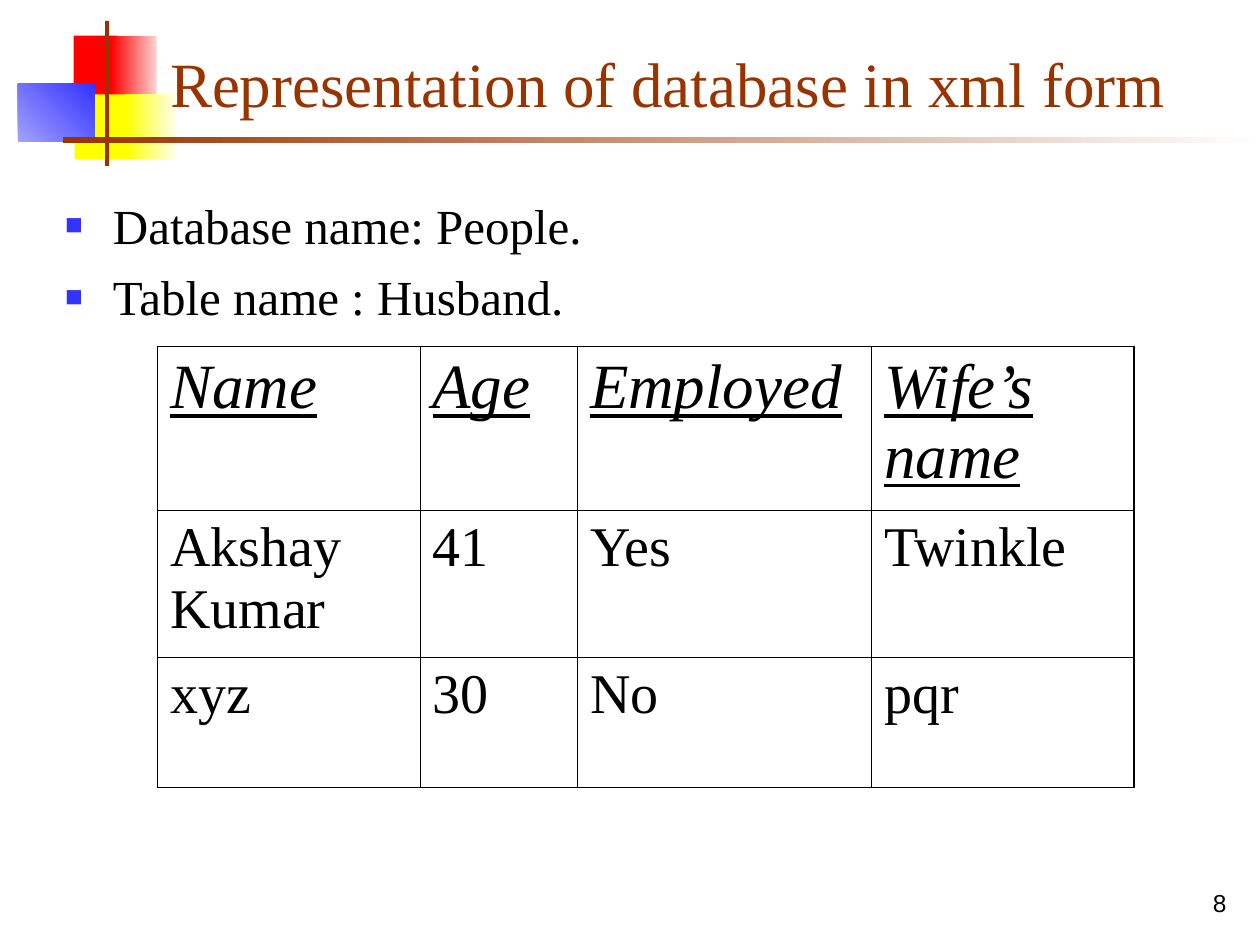
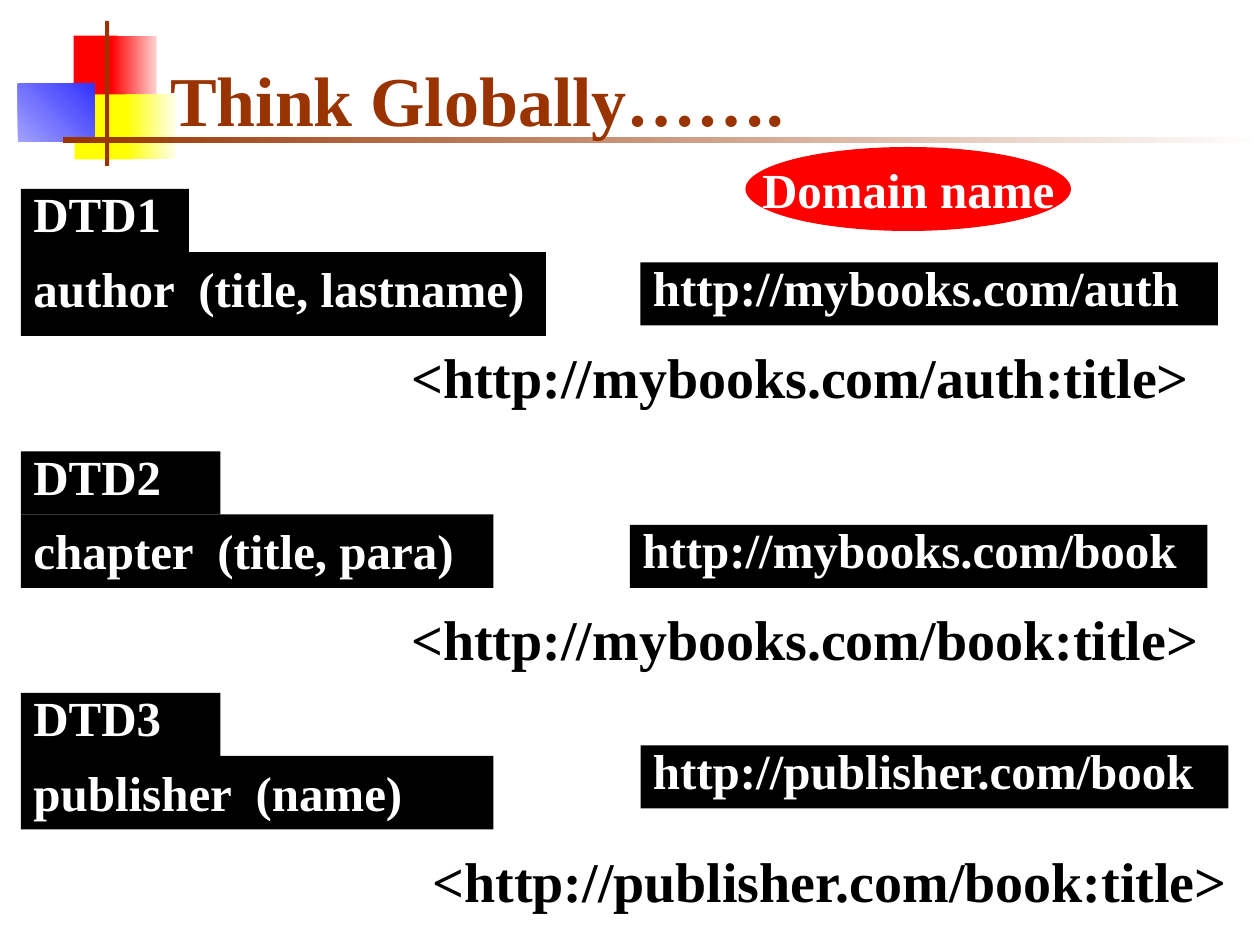
from collections import namedtuple

from lxml.etree import SubElement
from pptx import Presentation
from pptx.dml.color import RGBColor
from pptx.enum.shapes import MSO_SHAPE as Preset
from pptx.enum.text import MSO_ANCHOR as Anchor, MSO_AUTO_SIZE as AutoSize, PP_ALIGN as Align
from pptx.oxml.ns import qn
from pptx.util import Inches, Pt

COLUMNS, ROWS = 120, 90
CELL = Inches(10) // COLUMNS
SERIF, SANS = "Times New Roman", "Arial"
BLACK, WHITE, RED, YELLOW = "000000", "FFFFFF", "FF0000", "FFFF00"
BROWN, BLUE = "993300", "3333FF"
HANGING = Inches(0.38)
OUTER, INNER = Pt(1.08), Pt(0.45)

Dtd = namedtuple("Dtd", "top label label_width model model_size url url_area name name_area")

DTDS = [
    Dtd(18, "DTD1", 16, "author  (title, lastname)", (50, 8),
        "http://mybooks.com/auth", (59, 7, 55, 6),
        "<http://mybooks.com/auth:title>", (36, 14, 78, 10)),
    Dtd(43, "DTD2", 19, "chapter  (title, para)", (45, 7),
        "http://mybooks.com/book", (58, 7, 55, 6),
        "<http://mybooks.com/book:title>", (36, 14, 78, 10)),
    Dtd(66, "DTD3", 19, "publisher  (name)", (45, 7),
        "http://publisher.com/book", (59, 5, 56, 6),
        "<http://publisher.com/book:title>", (38, 14, 80, 8)),
]

HUSBANDS = [
    ["Name", "Age", "Employed", "Wife’s name"],
    ["Akshay Kumar", "41", "Yes", "Twinkle"],
    ["xyz", "30", "No", "pqr"],
]


class Box(namedtuple("Box", "left top width height")):
    def inner(self, left, top, width, height):
        return Box(self.left + left, self.top + top, width, height)

    def lengths(self):
        return [round(cells * CELL) for cells in self]


PAGE = Box(0, 0, COLUMNS, ROWS)


def rgb(color):
    return RGBColor.from_string(color)


def write(frame, *lines, size=28, color=BLACK, font=SERIF, bold=False, italic=False,
          underline=False, align=Align.LEFT, anchor=Anchor.TOP, wrap=True,
          before=0, spacing=1.0, hanging=False, bullet=None):
    frame.word_wrap = wrap
    frame.auto_size = AutoSize.NONE
    frame.vertical_anchor = anchor
    for index, line in enumerate(lines):
        paragraph = frame.add_paragraph() if index else frame.paragraphs[0]
        paragraph.alignment = align
        paragraph.space_before = Pt(before)
        paragraph.line_spacing = spacing
        run = paragraph.add_run()
        run.text = line
        run.font.name, run.font.size = font, Pt(size)
        run.font.bold, run.font.italic, run.font.underline = bold, italic, underline
        run.font.color.rgb = rgb(color)
        if hanging:
            properties = paragraph._p.get_or_add_pPr()
            properties.set("marL", str(HANGING))
            properties.set("indent", str(-HANGING))
            if bullet:
                add_bullet(properties, bullet)


def add_bullet(properties, color):
    tint = SubElement(properties, qn("a:buClr"))
    SubElement(tint, qn("a:srgbClr"), val=color)
    SubElement(properties, qn("a:buSzPct"), val="60000")
    SubElement(properties, qn("a:buFont"), typeface=SANS)
    SubElement(properties, qn("a:buChar"), char="■")


def add_block(slide, box, *colors, angle=0, preset=Preset.RECTANGLE):
    block = slide.shapes.add_shape(preset, *box.lengths())
    block.shadow.inherit = False
    block.line.fill.background()
    if len(colors) == 1:
        block.fill.solid()
        block.fill.fore_color.rgb = rgb(colors[0])
    else:
        block.fill.gradient()
        block.fill.gradient_angle = angle
        for stop, color in zip(block.fill.gradient_stops, colors):
            stop.color.rgb = rgb(color)
    return block


def add_caption(slide, box, text, **style):
    caption = slide.shapes.add_textbox(*box.lengths())
    write(caption.text_frame, text, **style)


def move(placeholder, box):
    placeholder.left, placeholder.top, placeholder.width, placeholder.height = box.lengths()


def add_title(slide, box, text, **style):
    move(slide.shapes.title, box)
    write(slide.shapes.title.text_frame, text, color=BROWN, anchor=Anchor.BOTTOM, **style)


def add_motif(master, slide, box):
    pieces = [
        ((7, 3.4, 4.2, 6.2), [RED], 0),
        ((10.6, 3.4, 4.3, 6.2), [RED, "FFD1D1"], 0),
        ((7.1, 9, 5.5, 6.2), [YELLOW], 0),
        ((12, 9, 4.8, 6.2), [YELLOW, "FFFFF0"], 0),
        ((1.7, 8, 7.3, 5.5), ["A2A2FF", BLUE], 45),
        ((10, 2, 0.4, 13.8), [BROWN], 0),
        ((6, 13, 114, 0.6), [BROWN, WHITE], 0),
    ]
    front = master.placeholders[0].element
    for number, (area, colors, angle) in enumerate(pieces, start=20):
        piece = add_block(slide, box.inner(*area), *colors, angle=angle)
        piece.element.nvSpPr.cNvPr.set("id", str(number))
        front.addprevious(piece.element)


def set_borders(cell, widths):
    properties = cell._tc.get_or_add_tcPr()
    for side, width in zip("LRTB", widths):
        line = SubElement(properties, qn(f"a:ln{side}"), w=str(width))
        fill = SubElement(line, qn("a:solidFill"))
        SubElement(fill, qn("a:srgbClr"), val=BLACK)


def add_husbands(slide, box):
    column_shares, row_shares = (25, 15, 28, 25), (15.6, 14, 12.4)
    last_row, last_column = len(row_shares) - 1, len(column_shares) - 1
    table = slide.shapes.add_table(len(row_shares), len(column_shares), *box.lengths()).table
    table.first_row = table.horz_banding = False
    for column, share in zip(table.columns, column_shares):
        column.width = round(box.width * share / sum(column_shares) * CELL)
    for row, share in zip(table.rows, row_shares):
        row.height = round(box.height * share / sum(row_shares) * CELL)
    for r, record in enumerate(HUSBANDS):
        style = dict(size=32, before=8) if r else dict(size=36, before=9, italic=True, underline=True)
        for c, value in enumerate(record):
            cell = table.cell(r, c)
            edges = (c == 0, c == last_column, r == 0, r == last_row)
            set_borders(cell, [OUTER if edge else INNER for edge in edges])
            cell.fill.background()
            write(cell.text_frame, value, **style)


def add_dtd(slide, box, dtd):
    def strip(area, text, spacing):
        block = add_block(slide, box.inner(*area), BLACK)
        write(block.text_frame, text, color=WHITE, bold=True, before=7,
              spacing=spacing, hanging=True)

    strip((0, 6, *dtd.model_size), dtd.model, 1.0)
    strip((0, 0, dtd.label_width, 6), dtd.label, 0.8)
    strip(dtd.url_area, dtd.url, 0.8)
    add_caption(slide, box.inner(*dtd.name_area), dtd.name, size=32, bold=True,
                before=8, hanging=True)


def fill_database_slide(slide, box):
    add_title(slide, box.inner(15, 1, 102.2, 11), "Representation of database in xml form", size=36)
    body = slide.placeholders[1]
    move(body, box.inner(5, 18, 112.5, 69))
    write(body.text_frame, "Database name: People.", "Table name : Husband.",
          before=7, hanging=True, bullet=BLUE)
    add_husbands(slide, box.inner(15, 33, 93, 42))
    add_caption(slide, box.inner(93, 82, 25, 6), "8", size=14, font=SANS,
                align=Align.RIGHT, anchor=Anchor.BOTTOM)


def fill_namespace_slide(slide, box):
    add_title(slide, box.inner(15, 3, 102.2, 11), "Think Globally…….", size=40, bold=True)
    for dtd in DTDS:
        add_dtd(slide, box.inner(2, dtd.top, 118, 24), dtd)
    domain = add_block(slide, box.inner(71, 14, 31, 8), RED, preset=Preset.OVAL)
    write(domain.text_frame, "Domain name", color=WHITE, bold=True, before=7, wrap=False,
          align=Align.CENTER, anchor=Anchor.MIDDLE, hanging=True)


def main():
    deck = Presentation()
    deck.slide_width, deck.slide_height = COLUMNS * CELL, ROWS * CELL
    database = deck.slides.add_slide(deck.slide_layouts[1])
    namespaces = deck.slides.add_slide(deck.slide_layouts[5])
    add_motif(deck.slide_master, database, PAGE.inner(0, 0, COLUMNS, 16))
    fill_database_slide(database, PAGE)
    fill_namespace_slide(namespaces, PAGE)
    deck.save("out.pptx")


if __name__ == "__main__":
    main()
